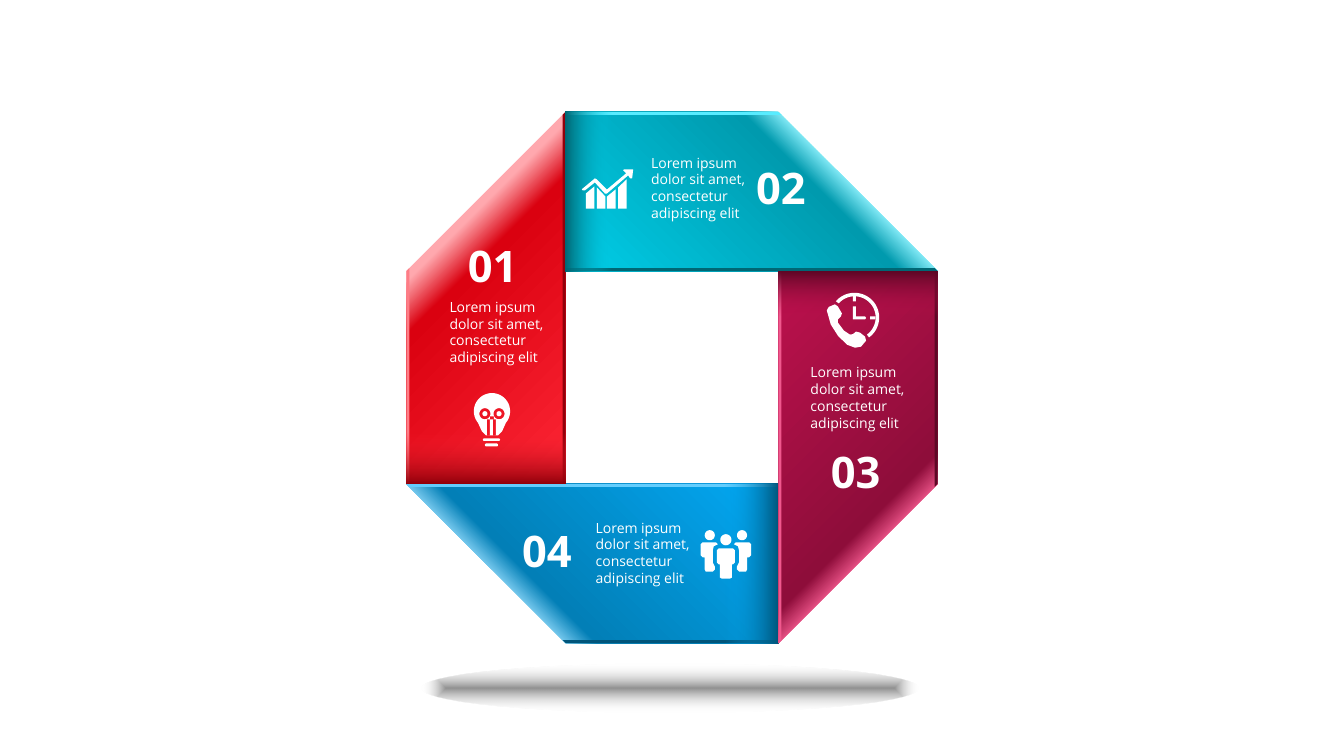
"""Build a folded octagon ring of four numbered steps with icons."""
from dataclasses import dataclass
from math import cos, radians, sin

import pptx
from pptx import oxml as ox, util as u
from pptx.dml import color as c
from pptx.enum import shapes as s, text as t
from pptx.oxml import ns

Point = tuple[float, float]
Path = list[Point]
Stop = tuple[int, str, int]


@dataclass(frozen=True)
class Tint:
    glow: str
    deep: str
    base: str
    inner: str
    outer: str
    shade: str


@dataclass(frozen=True)
class Theme:
    font: str = "Open Sans"
    white: str = "FFFFFF"
    black: str = "000000"
    body: int = 10
    head: int = 31
    blue: Tint = Tint("97DEFE", "027FB7", "03A9F4", "63CDFD", "01557A", "01557A")
    red: Tint = Tint("FFA8AE", "DA0110", "FE2635", "91010B", "FE7D86", "91010B")
    teal: Tint = Tint("90F3FF", "009AAE", "00CEE8", "006774", "58ECFF", "006774")
    plum: Tint = Tint("F0588D", "8E0D3A", "BD114D", "F0588D", "5E0826", "5E0826")


@dataclass(frozen=True)
class Step:
    num: str
    tint: Tint
    stops: tuple[int, int]
    depth: int
    head: Point
    body: Point
    icon: list[Path]


THEME = Theme()
COLS, ROWS = 1333, 750
CELL = u.Inches(0.01)
MID = (666.5, 374.5)
OUT, INN, RIM = 263.5, 105.5, 3
LOREM = "Lorem ipsum dolor sit amet, consectetur adipiscing elit"


def grid(n: float) -> u.Emu:
    """Turn grid cells into a length."""
    return u.Emu(round(n * CELL))


def arc(x: float, y: float, r: float, a: int = 0, b: int = 360) -> Path:
    """Return points along a circle from angle a to angle b."""
    angs = [radians(a + (b - a) * i / 32) for i in range(33)]
    return [(x + r * cos(g), y + r * sin(g)) for g in angs]


def box(x: float, y: float, r: float, b: float) -> Path:
    """Return the corners of an upright box."""
    return [(x, y), (r, y), (r, b), (x, b)]


def pill(x: float, y: float, r: float, b: float) -> Path:
    """Return a bar with round ends."""
    k = (b - y) / 2
    return arc(x + k, y + k, k, 90, 270) + arc(r - k, y + k, k, -90, 90)


def turn(pts: Path, n: int) -> Path:
    """Turn points about the ring's middle by n clockwise quarters."""
    for _ in range(n):
        pts = [(-y, x) for x, y in pts]
    return [(MID[0] + x, MID[1] + y) for x, y in pts]


def blend(shape, stops: list[Stop], way: str) -> None:
    """Fill a shape with a gradient."""
    marks = "".join(
        f'<a:gs pos="{pos * 1000}"><a:srgbClr val="{hue}">'
        f'<a:alpha val="{alpha * 1000}"/></a:srgbClr></a:gs>'
        for pos, hue, alpha in stops)
    fill = ox.parse_xml(f'<a:gradFill {ns.nsdecls("a")} rotWithShape="1">'
                        f'<a:gsLst>{marks}</a:gsLst>{way}</a:gradFill>')
    props = shape._element.spPr
    props.replace(props.find(ns.qn("a:solidFill")), fill)


def lin(deg: int) -> str:
    """Return a straight gradient direction."""
    return f'<a:lin ang="{deg % 360 * 60000}" scaled="0"/>'


def plain(shape, hue: str):
    """Give a shape one colour without line or shadow."""
    shape.shadow.inherit = False
    shape.fill.solid()
    shape.fill.fore_color.rgb = c.RGBColor.from_string(hue)
    shape.line.fill.background()
    return shape


def form(home, paths: list[Path], hue: str):
    """Draw closed outlines as one freeform."""
    pens = [[(grid(x), grid(y)) for x, y in path] for path in paths]
    pen = home.build_freeform(*pens[0][0], scale=1.0)
    for i, pts in enumerate(pens):
        if i:
            pen.move_to(*pts[0])
        pen.add_line_segments(pts[1:], close=True)
    return plain(pen.convert_to_shape(), hue)


def solid(home, kind: s.MSO_SHAPE, x: float, y: float, w: float, h: float):
    """Draw a preset shape."""
    return plain(home.add_shape(kind, grid(x), grid(y), grid(w), grid(h)), THEME.white)


def write(home, words: str, at: Point, *, w: float, h: float, size: int,
          bold: bool = False, wrap: bool = True, pad: bool = True) -> None:
    """Place a formatted text box."""
    frame = home.add_textbox(grid(at[0]), grid(at[1]), grid(w), grid(h)).text_frame
    frame.word_wrap = wrap
    frame.auto_size = t.MSO_AUTO_SIZE.SHAPE_TO_FIT_TEXT
    if not pad:
        frame.margin_left = frame.margin_right = 0
        frame.margin_top = frame.margin_bottom = 0
    run = frame.paragraphs[0].add_run()
    run.text = words
    run.font.name, run.font.size, run.font.bold = THEME.font, u.Pt(size), bold
    run.font.color.rgb = c.RGBColor.from_string(THEME.white)


def panel(home, step: Step, n: int) -> None:
    """Draw one folded side of the ring."""
    hue = step.tint
    face = [(-OUT, INN), (-INN, OUT), (INN, OUT), (INN, INN)]
    blend(form(home, [turn(face, n)], hue.deep),
          [(step.stops[0], hue.glow, 100), (step.stops[1], hue.deep, 100),
           (100, hue.base, 100)], lin(315 + 90 * n))
    inner = [(-OUT, INN), (RIM - OUT, INN + RIM), (INN, INN + RIM), (INN, INN)]
    outer = [(-INN - RIM, OUT - RIM), (-INN, OUT), (INN, OUT), (INN, OUT - RIM)]
    form(home, [turn(inner, n)], hue.inner)
    form(home, [turn(outer, n)], hue.outer)
    (x, y), (r, b) = sorted(turn([(INN - step.depth, INN), (INN, OUT)], n))
    rect = solid(home, s.MSO_SHAPE.RECTANGLE, x, min(y, b), r - x, abs(b - y))
    blend(rect, [(0, hue.shade, 100), (100, hue.base, 0)], lin(180 + 90 * n))


SIDE = [(728, 540), (730, 538), (743, 538), (745, 540), (745, 551), (743, 553),
        (741, 553), (741, 565), (740, 567), (733, 567), (731, 565), (731, 562),
        (733, 558), (733, 546), (732, 542)]
HALF = [(720, 544), (727, 544), (729, 546), (729, 558), (727, 560), (726, 560),
        (726, 573), (724, 574), (720, 574)]


def flip(pts: Path) -> Path:
    """Mirror points about the middle of the people icon."""
    return [(1440 - x, y) for x, y in pts[::-1]]


TEAM = [arc(720, 535.5, 5.5), HALF + flip(HALF), SIDE, flip(SIDE),
        arc(736, 531, 5), arc(704, 531, 5)]
CALL = [[(820, 308), (822, 304.5), (828, 302), (831, 304), (835, 311), (834, 314),
         (831, 317), (831, 320), (837, 328), (843, 332), (846, 331.5), (849, 329),
         (853, 330), (858, 334), (859, 338), (854, 344), (848, 345), (840, 342),
         (831, 333), (824, 322)],
        [(846, 304), (849, 304), (849, 314), (858, 314), (859, 315.5), (858, 317),
         (846, 317)],
        arc(847.5, 315, 24.5, -139, 54) + arc(847.5, 315, 21, 54, -138),
        box(846, 294, 849, 299), box(863, 314, 868, 317)]
BULB = [arc(488, 408, 18, 140, 400) + [(498, 428), (494, 432), (482, 432), (478, 428)],
        *[arc(x, 410.5, r) for x in (481, 495) for r in (5.5, 2.5)],
        box(486, 413, 490, 416), box(483, 416, 486, 432), box(489, 416, 492, 432),
        pill(479, 435, 496, 437.5), pill(481, 440, 494, 443)]
BARS = [[(x, a), (x + 8.5, b), (x + 8.5, 207), (x, 207)]
        for x, a, b in ((581, 192, 185), (592, 186, 195), (602, 195, 188), (613, 186, 178))]
RISE = [(628, 168), (619, 168), (618, 169), (621, 172), (602, 188), (592, 178),
        (590, 177), (578, 187), (577, 188), (578, 189), (580, 189), (590, 181),
        (600, 192), (602, 192), (623, 174), (625, 177), (627, 177)]
STEPS = [Step("04", THEME.blue, (28, 36), 52, (518, 520), (581, 510), TEAM),
         Step("01", THEME.red, (32, 42), 51, (464, 237), (436, 291), BULB),
         Step("02", THEME.teal, (29, 37), 46, (750, 160), (636, 148), BARS + [RISE]),
         Step("03", THEME.plum, (29, 36), 44, (824, 442), (794, 356), CALL)]


def main() -> None:
    """Build and save the slide."""
    deck = pptx.Presentation()
    deck.slide_width, deck.slide_height = grid(COLS), grid(ROWS)
    home = deck.slides.add_slide(deck.slide_layouts[6]).shapes
    for n, step in enumerate(STEPS):
        panel(home.add_group_shape().shapes, step, n)
    for step in STEPS:
        write(home, step.num, step.head, w=50, h=52, size=THEME.head,
              bold=True, wrap=False, pad=False)
        form(home, step.icon, THEME.white)
        write(home, LOREM, step.body, w=125, h=77, size=THEME.body)
    base = solid(home, s.MSO_SHAPE.OVAL, 418, 658, 493, 49)
    blend(base, [(0, THEME.black, 43), (100, THEME.white, 0)],
          '<a:path path="shape"><a:fillToRect l="50000" t="50000" r="50000" b="50000"/></a:path>')
    deck.save("out.pptx")


if __name__ == "__main__":
    main()
